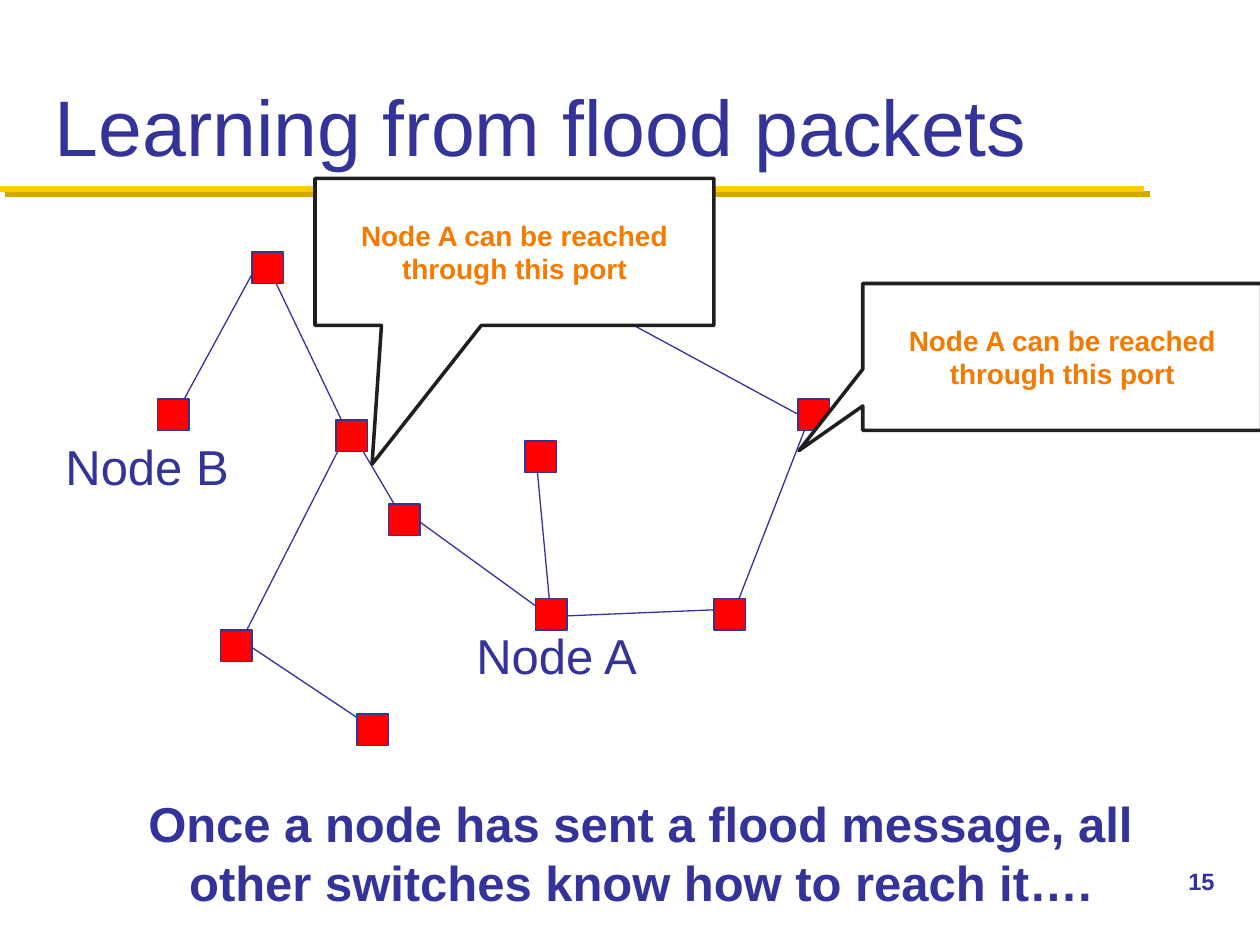
from lxml.etree import SubElement
from pptx import Presentation
from pptx.dml.color import RGBColor
from pptx.enum.shapes import MSO_CONNECTOR, MSO_SHAPE
from pptx.enum.text import MSO_ANCHOR, MSO_AUTO_SIZE, PP_ALIGN
from pptx.oxml.ns import qn
from pptx.util import Pt

INK, RED, ORANGE, WHITE = "333399", "FF0000", "F47A00", "FFFFFF"
GOLD, DARK_GOLD, BLACK = "FFCB05", "D3A600", "1F1F1F"
TITLE = "Learning from flood packets"
NODE_SIZE = 18
NODES = [(192, 240), (222, 288), (126, 360), (144, 144), (90, 228),
         (204, 408), (306, 342), (408, 342), (300, 252), (456, 228)]
LINKS = [  # start x, y, end x, y
    (154, 154, 198, 246), (145.5, 154, 102, 234), (204, 252, 230, 296),
    (318, 162, 462, 240), (462, 240, 420, 348), (138, 366, 210, 414),
    (234, 294, 314, 352), (420, 348, 322.5, 352), (306, 258, 314, 343.5),
    (138, 366, 194, 256),
]
CALLOUT_LINES = ["Node A can be reached", "through this port"]
CALLOUTS = [  # left, top, pointer offsets
    (493, 162, (-0.66, 0.637)),
    (180, 102, (-0.357, 1.444)),
]
LABELS = [  # text, left, top, width, height, size, bold, alignment
    ("Node A", 216, 354, 204, 41, 28, False, PP_ALIGN.CENTER),
    ("Node B", -18, 246, 204, 41, 28, False, PP_ALIGN.CENTER),
    ("Once a node has sent a flood message, all other switches know how to reach it….",
     54, 450, 624, 75, 28, True, PP_ALIGN.CENTER),
    ("15", 672, 492, 48, 36, 13.5, True, PP_ALIGN.LEFT),
]


def color(value):
    return RGBColor.from_string(value)


def write(frame, lines, size, ink=INK, bold=False, align=PP_ALIGN.LEFT):
    for index, line in enumerate(lines):
        para = frame.paragraphs[0] if index == 0 else frame.add_paragraph()
        para.alignment = align
        span = para.add_run()
        span.text = line
        span.font.name, span.font.size, span.font.bold = "Arial", Pt(size), bold
        span.font.color.rgb = color(ink)


def add_line(slide, ends, ink, width):
    """Draw a straight line and return its empty effect list."""
    line = slide.shapes.add_connector(MSO_CONNECTOR.STRAIGHT, *map(Pt, ends))
    line.line.color.rgb = color(ink)
    line.line.width = Pt(width)
    return SubElement(line._element.spPr, qn("a:effectLst"))


def add_box(slide, kind, place, fill, ink, width):
    box = slide.shapes.add_shape(kind, *map(Pt, place))
    box.shadow.inherit = False
    box.fill.solid()
    box.fill.fore_color.rgb = color(fill)
    box.line.color.rgb = color(ink)
    box.line.width = Pt(width)
    return box


def add_title(slide):
    title = slide.shapes.title
    title.left, title.top, title.width, title.height = map(Pt, (24, 12, 672, 90))
    frame = title.text_frame
    frame.auto_size = MSO_AUTO_SIZE.NONE
    frame.vertical_anchor = MSO_ANCHOR.BOTTOM
    write(frame, [TITLE], 45)


def add_title_rule(slide):
    effects = add_line(slide, (0, 108, 654, 108), GOLD, 3.5)
    shadow = SubElement(effects, qn("a:outerShdw"), dist=str(Pt(4.2)),
                        dir="2700000", algn="ctr", rotWithShape="0")
    SubElement(shadow, qn("a:srgbClr"), val=DARK_GOLD)


def add_callout(slide, left, top, pointer):
    callout = add_box(slide, MSO_SHAPE.RECTANGULAR_CALLOUT,
                      (left, top, 228, 84), WHITE, BLACK, 2)
    for index, offset in enumerate(pointer):
        callout.adjustments[index] = offset
    frame = callout.text_frame
    frame.word_wrap = False
    frame.vertical_anchor = MSO_ANCHOR.MIDDLE
    write(frame, CALLOUT_LINES, 16, ORANGE, True, PP_ALIGN.CENTER)


def add_label(slide, text, left, top, width, height, size, bold, align):
    box = slide.shapes.add_textbox(*map(Pt, (left, top, width, height)))
    box.text_frame.word_wrap = True
    write(box.text_frame, [text], size, bold=bold, align=align)


def main():
    deck = Presentation()
    deck.slide_width, deck.slide_height = Pt(720), Pt(540)
    slide = deck.slides.add_slide(deck.slide_layouts[5])
    add_title_rule(slide)
    add_title(slide)
    for ends in LINKS:
        add_line(slide, ends, INK, 0.75)
    for left, top in NODES:
        add_box(slide, MSO_SHAPE.RECTANGLE,
                (left, top, NODE_SIZE, NODE_SIZE), RED, INK, 0.75)
    for callout in CALLOUTS:
        add_callout(slide, *callout)
    for label in LABELS:
        add_label(slide, *label)
    deck.save("out.pptx")


if __name__ == "__main__":
    main()
